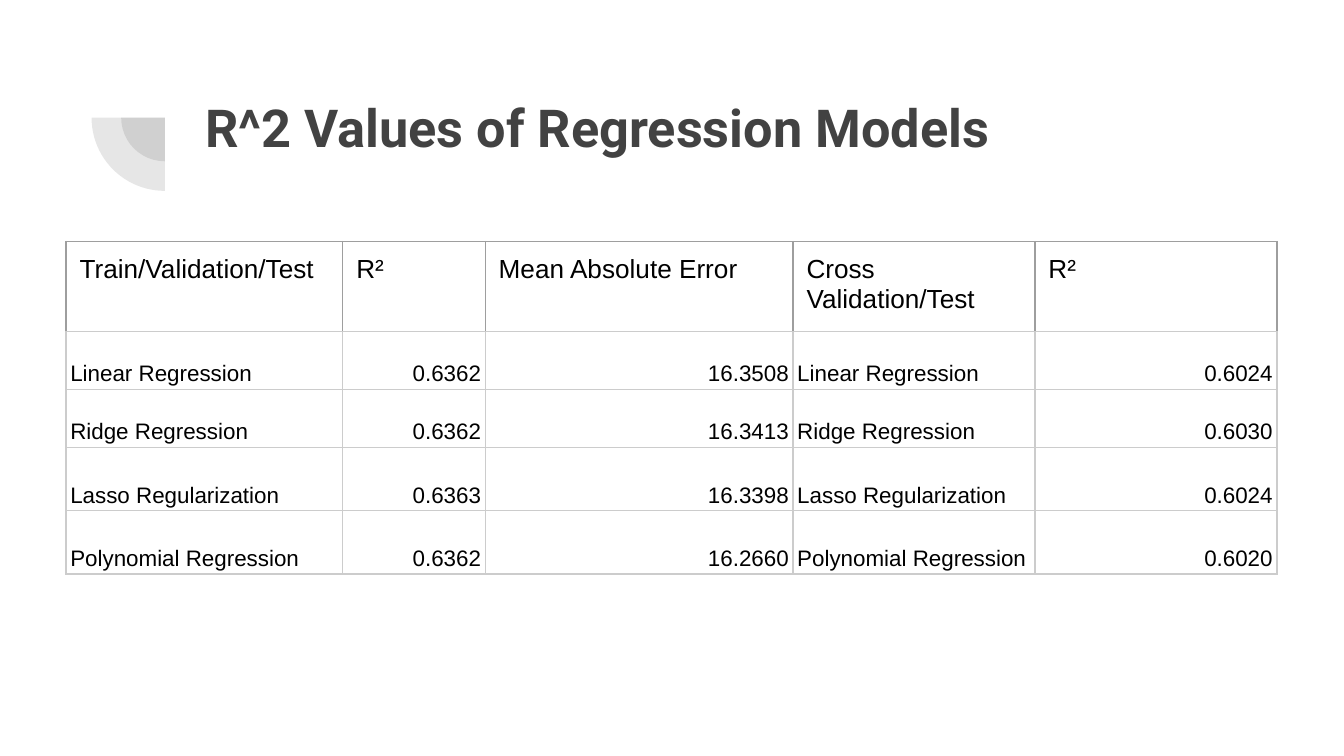
"""Build a slide with a table of R² values for four regression models."""
from dataclasses import dataclass

from lxml import etree
from pptx import Presentation
from pptx.dml.color import RGBColor
from pptx.enum.shapes import MSO_SHAPE
from pptx.enum.text import MSO_ANCHOR, PP_ALIGN
from pptx.oxml.ns import qn
from pptx.util import Pt

PIE = MSO_SHAPE.PIE
TOP, BOTTOM = MSO_ANCHOR.TOP, MSO_ANCHOR.BOTTOM
LEFT, RIGHT = PP_ALIGN.LEFT, PP_ALIGN.RIGHT


@dataclass(frozen=True)
class Theme:
    dark: str = "424242"
    black: str = "000000"
    header_line: str = "9E9E9E"
    body_line: str = "CCCCCC"
    pie_alpha: int = 13000
    title_font: str = "Roboto"
    table_font: str = "Arial"
    title_size: int = 28
    header_size: int = 14
    body_size: int = 12
    border: float = 0.75


THEME = Theme()
COLUMN_WIDTHS = (148.3, 76.3, 164.9, 129.6, 129.6)
ROW_HEIGHTS = (48.2, 31, 31, 34, 34)
HEADERS = ("Train/Validation/Test", "R²", "Mean Absolute Error",
           "Cross Validation/Test", "R²")
RESULTS = (
    ("Linear Regression", "0.6362", "16.3508", "0.6024"),
    ("Ridge Regression", "0.6362", "16.3413", "0.6030"),
    ("Lasso Regularization", "0.6363", "16.3398", "0.6024"),
    ("Polynomial Regression", "0.6362", "16.2660", "0.6020"),
)


def write_text(frame, text, *, font, size, color, bold=False, align=LEFT, spacing=None):
    frame.word_wrap = True
    para = frame.paragraphs[0]
    para.alignment = align
    para.line_spacing = spacing
    span = para.add_run()
    span.text = text
    span.font.name = font
    span.font.size = Pt(size)
    span.font.bold = bold
    span.font.color.rgb = RGBColor.from_string(color)


def set_insets(target, across, down):
    target.margin_left = target.margin_right = Pt(across)
    target.margin_top = target.margin_bottom = Pt(down)


def add_title(page, text):
    box = page.shapes.add_textbox(Pt(103), Pt(43.9), Pt(553.7), Pt(78.5))
    frame = box.text_frame
    set_insets(frame, 7.2, 7.2)
    frame.vertical_anchor = TOP
    write_text(frame, text, font=THEME.title_font, size=THEME.title_size,
               color=THEME.dark, bold=True)


def add_quarter_pie(page, center_x, center_y, diameter):
    radius = diameter / 2
    pie = page.shapes.add_shape(PIE, Pt(center_x - radius), Pt(center_y - radius),
                                Pt(diameter), Pt(diameter))
    pie.adjustments[0] = 107.93
    pie.adjustments[1] = 162
    pie.rotation = 270
    pie.shadow.inherit = False
    pie.line.fill.background()
    pie.fill.solid()
    pie.fill.fore_color.rgb = RGBColor.from_string(THEME.dark)
    color = pie.fill._xPr.find(qn("a:solidFill")).find(qn("a:srgbClr"))
    etree.SubElement(color, qn("a:alpha"), val=str(THEME.pie_alpha))


def set_borders(cell, **colors):
    properties = cell._tc.get_or_add_tcPr()
    for side, color in colors.items():
        line = etree.SubElement(properties, qn(f"a:ln{side}"), w=str(Pt(THEME.border)))
        fill = etree.SubElement(line, qn("a:solidFill"))
        etree.SubElement(fill, qn("a:srgbClr"), val=color)


def format_cell(cell, text, *, header, align):
    edge = THEME.header_line if header else THEME.body_line
    set_borders(cell, L=edge, R=edge, T=edge, B=THEME.body_line)
    cell.fill.background()
    cell.vertical_anchor = TOP if header else BOTTOM
    if header:
        set_insets(cell, 7.2, 7.2)
    else:
        set_insets(cell, 2.25, 1.5)
    write_text(cell.text_frame, text, font=THEME.table_font, color=THEME.black,
               size=THEME.header_size if header else THEME.body_size,
               align=align, spacing=None if header else 1.15)


def add_results_table(page):
    rows = [HEADERS] + [(model, r2, error, model, cross_r2)
                        for model, r2, error, cross_r2 in RESULTS]
    holder = page.shapes.add_table(len(rows), len(HEADERS), Pt(35.4), Pt(129.4),
                                   Pt(sum(COLUMN_WIDTHS)), Pt(sum(ROW_HEIGHTS)))
    table = holder.table
    table.first_row = table.horz_banding = False
    for column, width in zip(table.columns, COLUMN_WIDTHS):
        column.width = Pt(width)
    for row, height in zip(table.rows, ROW_HEIGHTS):
        row.height = Pt(height)
    for row_index, values in enumerate(rows):
        header = row_index == 0
        for column_index, text in enumerate(values):
            align = LEFT if header or column_index in (0, 3) else RIGHT
            format_cell(table.cell(row_index, column_index), text,
                        header=header, align=align)


def main():
    deck = Presentation()
    deck.slide_width, deck.slide_height = Pt(720), Pt(405)
    page = deck.slides.add_slide(deck.slide_layouts[6])
    for diameter in (46.8, 78.5):
        add_quarter_pie(page, 88.3, 63, diameter)
    add_title(page, "R^2 Values of Regression Models")
    add_results_table(page)
    deck.save("out.pptx")


if __name__ == "__main__":
    main()
